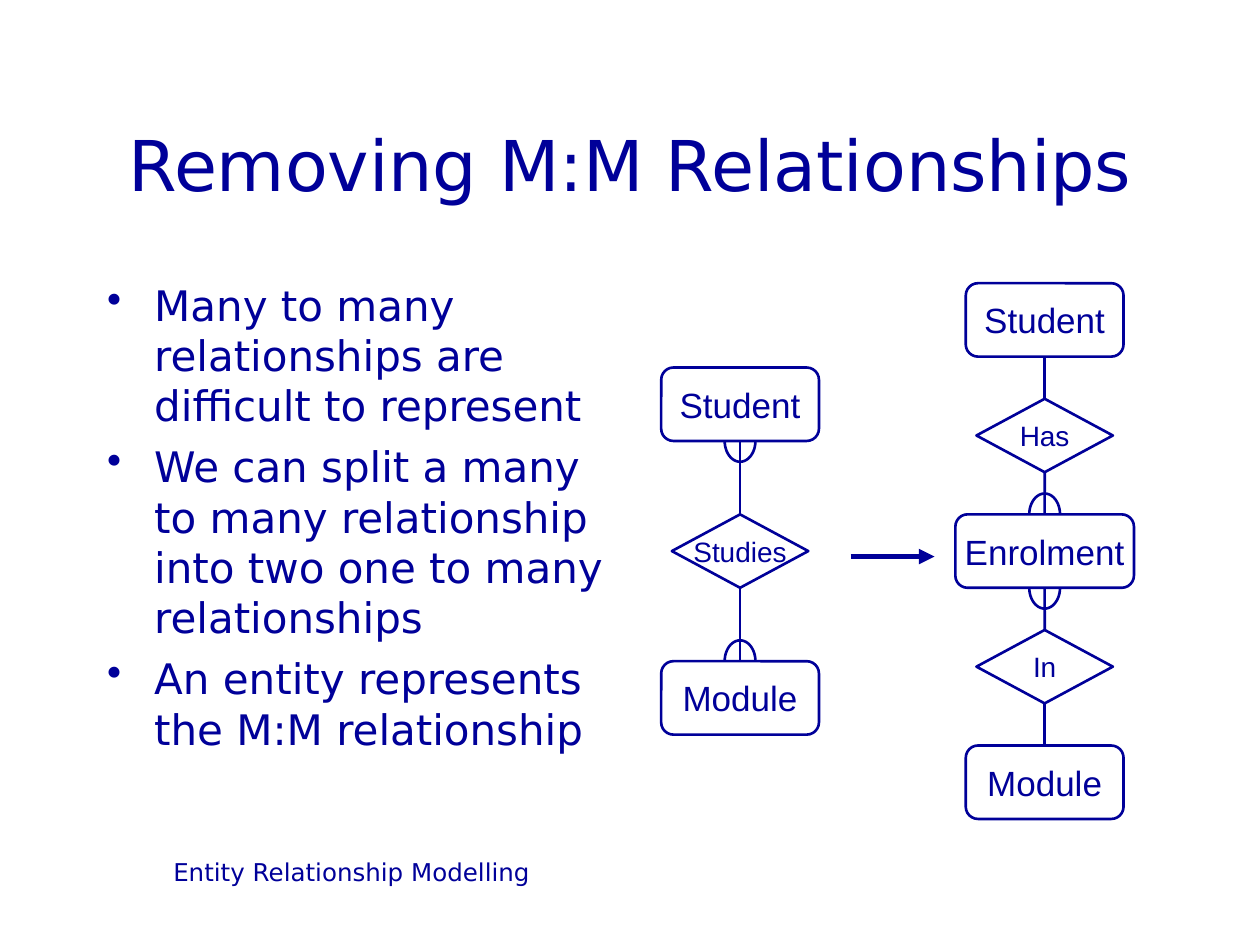
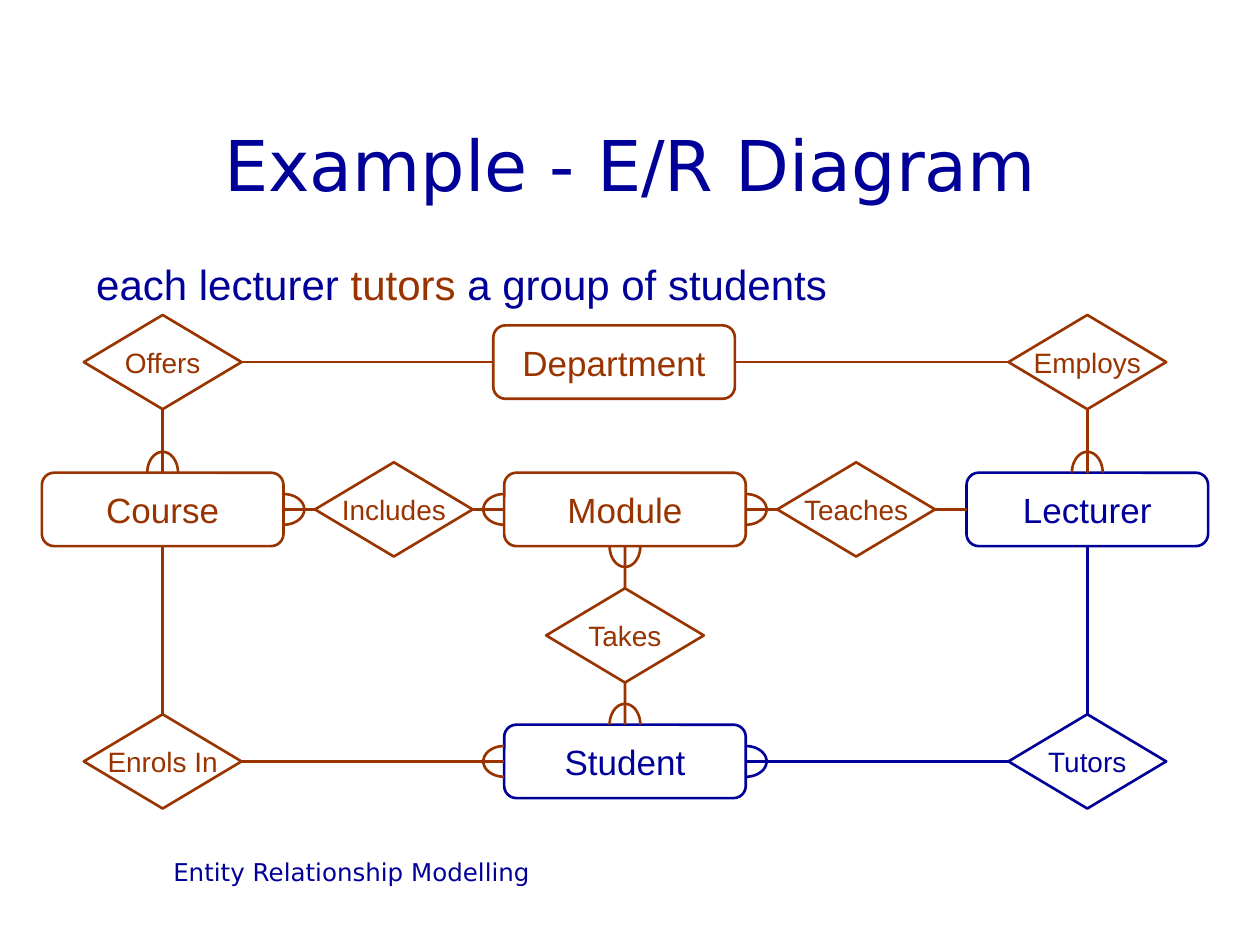
from dataclasses import dataclass
from enum import Enum
from math import cos, pi, sin

from lxml.etree import SubElement
from pptx import Presentation
from pptx.dml.color import RGBColor
from pptx.enum.shapes import MSO_CONNECTOR, MSO_SHAPE
from pptx.enum.text import MSO_ANCHOR, PP_ALIGN
from pptx.oxml.ns import qn
from pptx.util import Cm, Pt


@dataclass(frozen=True)
class Theme:
    blue: RGBColor = RGBColor(0x00, 0x00, 0x99)
    brown: RGBColor = RGBColor(0x99, 0x33, 0x00)
    heading_font: str = "DejaVu Sans"
    diagram_font: str = "Arial"
    title_size: int = 40
    body_size: int = 24
    entity_size: int = 20
    relationship_size: int = 16
    footer_size: int = 14
    line_width: float = 1.5
    arrow_width: float = 3


class Side(Enum):
    """Connection site number and outward direction."""
    TOP = (0, 0, -1)
    LEFT = (1, -1, 0)
    BOTTOM = (2, 0, 1)
    RIGHT = (3, 1, 0)


class Deck:
    FOOTER = "Entity Relationship Modelling"
    ARC_DEPTH, ARC_HALF_WIDTH, ARC_STEPS = Cm(0.42), Cm(0.31), 24

    def __init__(self, theme):
        self.theme = theme
        self.presentation = Presentation()
        self.presentation.slide_width = Cm(25.4)
        self.presentation.slide_height = Cm(19.05)
        self.slide = None

    def new_slide(self, title):
        """Start a slide with the shared title and footer."""
        theme = self.theme
        blank_layout = self.presentation.slide_layouts[6]
        self.slide = self.presentation.slides.add_slide(blank_layout)
        footer = self.text_box(1.91, 17.15, 10.36, 1.27)
        self.add_runs(footer.paragraphs[0], [(self.FOOTER, theme.blue)],
                      theme.footer_size, theme.heading_font, PP_ALIGN.CENTER)
        heading = self.text_box(1.91, 1.7, 21.59, 3.18)
        heading.vertical_anchor = MSO_ANCHOR.MIDDLE
        self.add_runs(heading.paragraphs[0], [(title, theme.blue)],
                      theme.title_size, theme.heading_font, PP_ALIGN.CENTER)

    # Text
    def text_box(self, left, top, width, height):
        shape = self.slide.shapes.add_textbox(
            Cm(left), Cm(top), Cm(width), Cm(height))
        shape.text_frame.word_wrap = True
        return shape.text_frame

    def add_runs(self, paragraph, runs, size, font_name,
                 alignment=PP_ALIGN.LEFT):
        paragraph.alignment = alignment
        for text, color in runs:
            run = paragraph.add_run()
            run.text = text
            run.font.size = Pt(size)
            run.font.name = font_name
            run.font.color.rgb = color

    def bullets(self, left, top, width, height, items):
        frame = self.text_box(left, top, width, height)
        for index, item in enumerate(items):
            paragraph = frame.add_paragraph() if index else frame.paragraphs[0]
            paragraph.space_before = Pt(6)
            self.add_runs(paragraph, [(item, self.theme.blue)],
                          self.theme.body_size, self.theme.heading_font)
            properties = paragraph._p.get_or_add_pPr()
            properties.set("marL", str(Cm(0.95)))
            properties.set("indent", str(-Cm(0.95)))
            SubElement(properties, qn("a:buChar"), char="•")

    def statement(self, left, top, width, height, runs):
        paragraph = self.text_box(left, top, width, height).paragraphs[0]
        paragraph.space_before = Pt(15)
        self.add_runs(paragraph, runs, self.theme.body_size,
                      self.theme.diagram_font)

    # Diagram nodes, placed by their centre
    def outline(self, shape, color):
        shape.shadow.inherit = False
        shape.fill.background()
        shape.line.color.rgb = color
        shape.line.width = Pt(self.theme.line_width)

    def node(self, kind, text, center, size, color, text_size):
        (x, y), (width, height) = center, size
        shape = self.slide.shapes.add_shape(
            kind, Cm(x - width / 2), Cm(y - height / 2), Cm(width), Cm(height))
        self.outline(shape, color)
        frame = shape.text_frame
        frame.word_wrap = False
        frame.vertical_anchor = MSO_ANCHOR.MIDDLE
        self.add_runs(frame.paragraphs[0], [(text, color)], text_size,
                      self.theme.diagram_font, PP_ALIGN.CENTER)
        return shape

    def entity(self, text, center, width, color):
        return self.node(MSO_SHAPE.ROUNDED_RECTANGLE, text, center,
                         (width, 1.48), color, self.theme.entity_size)

    def relationship(self, text, center, size, color):
        return self.node(MSO_SHAPE.DIAMOND, text, center, size, color,
                         self.theme.relationship_size)

    # Lines
    def line(self, start, end, color, width):
        connector = self.slide.shapes.add_connector(
            MSO_CONNECTOR.STRAIGHT, *start, *end)
        connector.line.color.rgb = color
        connector.line.width = Pt(width)
        SubElement(connector._element.spPr, qn("a:effectLst"))
        return connector

    def arrow(self, start, end):
        connector = self.line(start, end, self.theme.blue,
                              self.theme.arrow_width)
        SubElement(connector.line._get_or_add_ln(), qn("a:tailEnd"),
                   type="triangle")

    def link(self, entity, entity_side, relationship, relationship_side,
             color, many=False):
        """Glue an entity to a relationship; an arc marks the many end."""
        connector = self.line((0, 0), (0, 0), color, self.theme.line_width)
        connector.begin_connect(entity, entity_side.value[0])
        connector.end_connect(relationship, relationship_side.value[0])
        if many:
            self.many_arc(entity, entity_side, color)

    def many_arc(self, entity, side, color):
        _, across, down = side.value
        x = entity.left + entity.width * (1 + across) / 2
        y = entity.top + entity.height * (1 + down) / 2
        points = []
        for step in range(self.ARC_STEPS + 1):
            angle = pi * step / self.ARC_STEPS - pi / 2
            outward = self.ARC_DEPTH * cos(angle)
            along = self.ARC_HALF_WIDTH * sin(angle)
            points.append((round(x + across * outward - down * along),
                           round(y + down * outward + across * along)))
        builder = self.slide.shapes.build_freeform(*points[0])
        builder.add_line_segments(points[1:], close=False)
        self.outline(builder.convert_to_shape(), color)


def build_removing_slide(deck):
    deck.new_slide("Removing M:M Relationships")
    deck.bullets(1.91, 5.5, 10.58, 11.43, [
        "Many to many relationships are difficult to represent",
        "We can split a many to many relationship into two one to many "
        "relationships",
        "An entity represents the M:M relationship",
    ])
    blue, middle, diamond = deck.theme.blue, 11.11, (2.75, 1.48)

    # Many to many relationship
    x, step = 14.92, 2.96
    student = deck.entity("Student", (x, middle - step), 3.18, blue)
    module = deck.entity("Module", (x, middle + step), 3.18, blue)
    studies = deck.relationship("Studies", (x, middle), diamond, blue)
    deck.link(student, Side.BOTTOM, studies, Side.TOP, blue, many=True)
    deck.link(module, Side.TOP, studies, Side.BOTTOM, blue, many=True)

    # Two one to many relationships
    x, step = 21.06, 2.33
    student = deck.entity("Student", (x, middle - 2 * step), 3.18, blue)
    has = deck.relationship("Has", (x, middle - step), diamond, blue)
    enrolment = deck.entity("Enrolment", (x, middle), 3.6, blue)
    inside = deck.relationship("In", (x, middle + step), diamond, blue)
    module = deck.entity("Module", (x, middle + 2 * step), 3.18, blue)
    deck.link(student, Side.BOTTOM, has, Side.TOP, blue)
    deck.link(enrolment, Side.TOP, has, Side.BOTTOM, blue, many=True)
    deck.link(enrolment, Side.BOTTOM, inside, Side.TOP, blue, many=True)
    deck.link(module, Side.TOP, inside, Side.BOTTOM, blue)

    deck.arrow((Cm(17.15), Cm(11.22)), (Cm(18.84), Cm(11.22)))


def build_example_slide(deck):
    deck.new_slide("Example - E/R Diagram")
    blue, brown = deck.theme.blue, deck.theme.brown
    columns = [3.28 + 4.66 * column for column in range(5)]
    top, middle, lower, bottom = 7.3, 10.27, 12.81, 15.35

    # Entities
    entities = {
        name: deck.entity(name, center, 4.87, color)
        for name, center, color in [
            ("Module", (columns[2], middle), brown),
            ("Course", (columns[0], middle), brown),
            ("Department", (12.38, top), brown),
            ("Student", (columns[2], bottom), blue),
            ("Lecturer", (columns[4], middle), blue),
        ]
    }

    # Relationships
    relationships = {
        name: deck.relationship(name, center, (3.18, 1.9), color)
        for name, center, color in [
            ("Includes", (columns[1], middle), brown),
            ("Offers", (columns[0], top), brown),
            ("Tutors", (columns[4], bottom), blue),
            ("Enrols In", (columns[0], bottom), brown),
            ("Takes", (columns[2], lower), brown),
            ("Employs", (columns[4], top), brown),
            ("Teaches", (columns[3], middle), brown),
        ]
    }

    # Links: entity and side, relationship and side, many end
    up, left, down, right = Side.TOP, Side.LEFT, Side.BOTTOM, Side.RIGHT
    for entity, entity_side, relationship, side, many in [
        ("Course", right, "Includes", left, True),
        ("Module", left, "Includes", right, True),
        ("Module", right, "Teaches", left, True),
        ("Lecturer", left, "Teaches", right, False),
        ("Lecturer", up, "Employs", down, True),
        ("Department", right, "Employs", left, False),
        ("Department", left, "Offers", right, False),
        ("Course", up, "Offers", down, True),
        ("Course", down, "Enrols In", up, False),
        ("Student", left, "Enrols In", right, True),
        ("Student", up, "Takes", down, True),
        ("Module", down, "Takes", up, True),
        ("Student", right, "Tutors", left, True),
        ("Lecturer", down, "Tutors", up, False),
    ]:
        color = blue if relationship == "Tutors" else brown
        deck.link(entities[entity], entity_side,
                  relationships[relationship], side, color, many)

    deck.statement(1.69, 5.08, 22.01, 1.27, [
        ("each lecturer ", blue),
        ("tutors", brown),
        (" a group of students", blue),
    ])


def main():
    deck = Deck(Theme())
    build_removing_slide(deck)
    build_example_slide(deck)
    deck.presentation.save("out.pptx")


if __name__ == "__main__":
    main()
